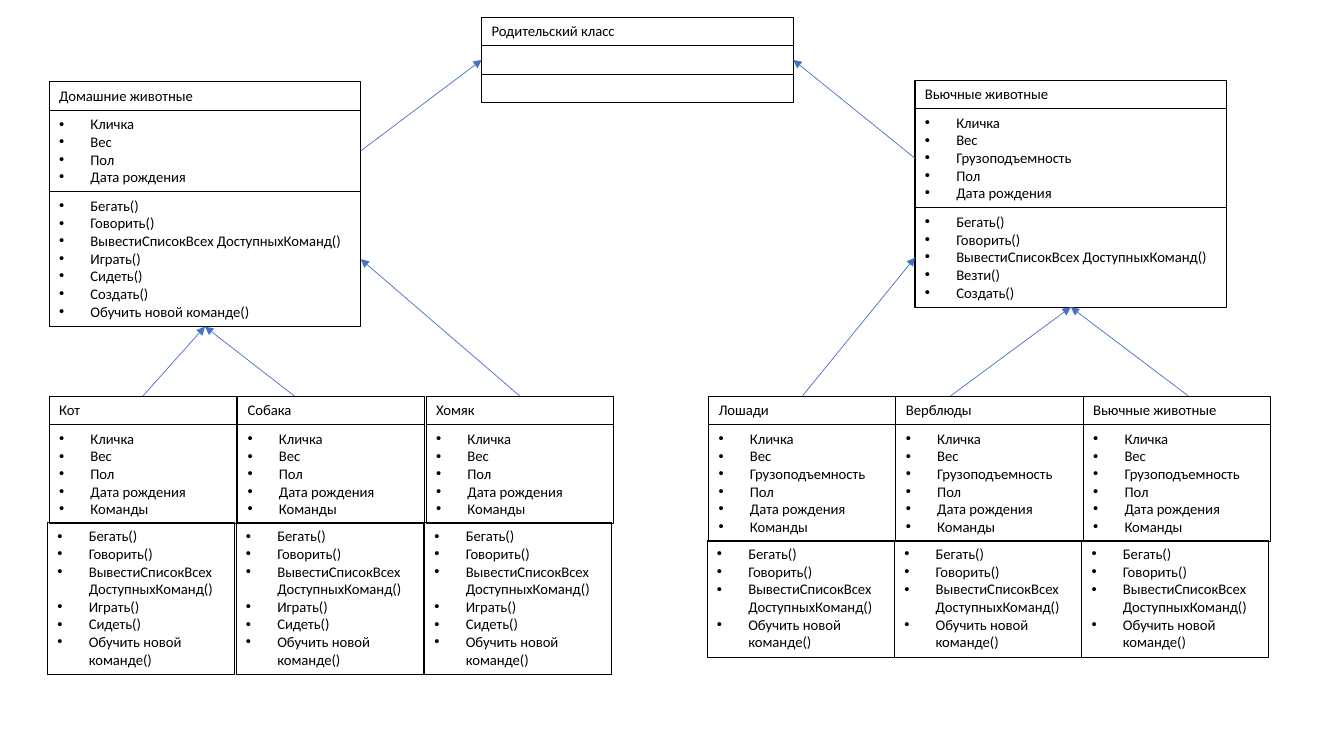
from lxml import etree
from pptx import Presentation
from pptx import util as u
from pptx.dml.color import RGBColor
from pptx.enum import shapes, text
from pptx.oxml import ns

BLACK = RGBColor(0x00, 0x00, 0x00)
BLUE = RGBColor(0x44, 0x72, 0xC4)
TOP, LEFT, BOTTOM, RIGHT = range(4)  # connection sites of a rectangle

WIDE, NARROW = 7.85, 4.72
HEADING_HEIGHT = 0.72
LINE_HEIGHT, PADDING = 0.45, 0.25
NARROW_CHARACTERS = 20
CHILD_TOP = 9.98
METHODS_SHIFT = 0.04

ATTRIBUTES = ["Кличка", "Вес", "Пол", "Дата рождения"]
PACK_ATTRIBUTES = ["Кличка", "Вес", "Грузоподъемность", "Пол", "Дата рождения"]
METHODS = ["Бегать()", "Говорить()", "ВывестиСписокВсех ДоступныхКоманд()"]
PET_METHODS = METHODS + ["Играть()", "Сидеть()"]
TEACH, CREATE = "Обучить новой команде()", "Cоздать()"


def add_child(parent, tag, **attributes):
    return etree.SubElement(parent, ns.qn(tag), attributes)


def write(para, words, bullet=False, font="Calibri", size=10.5, color=BLACK):
    """Fill a paragraph with formatted words, optionally as a bullet item."""
    para.alignment = text.PP_ALIGN.LEFT
    if bullet:
        properties = para._p.get_or_add_pPr()
        indent = u.Cm(0.79)
        properties.set("marL", str(indent))
        properties.set("indent", str(-indent))
        add_child(properties, "a:buFont", typeface="Arial")
        add_child(properties, "a:buChar", char="•")
    span = para.add_run()
    span.text = words
    span.font.name = font
    span.font.size = u.Pt(size)
    span.font.color.rgb = color


class Diagram:
    def __init__(self, page):
        self.page = page
        self.outline = u.Pt(0.75)
        self.arrow_width = u.Pt(0.5)

    def box(self, left, top, width, height, lines=(), bullet=False):
        box = self.page.shapes.add_shape(
            shapes.MSO_SHAPE.RECTANGLE,
            u.Cm(left), u.Cm(top), u.Cm(width), u.Cm(height))
        box.shadow.inherit = False
        box.fill.background()
        box.line.color.rgb = BLACK
        box.line.width = self.outline
        frame = box.text_frame
        frame.word_wrap = True
        frame.vertical_anchor = text.MSO_ANCHOR.TOP
        if lines:
            frame.auto_size = text.MSO_AUTO_SIZE.SHAPE_TO_FIT_TEXT
        for number, words in enumerate(lines):
            para = frame.add_paragraph() if number else frame.paragraphs[0]
            write(para, words, bullet=bullet)
        return box

    def class_box(self, name, left, top, width, attributes=(), methods=(), shift=0):
        """Stack heading, attributes and methods; return the three boxes."""
        boxes = [self.box(left, top, width, HEADING_HEIGHT, [name])]
        top += HEADING_HEIGHT
        for items, offset in ((attributes, 0), (methods, shift)):
            rows = len(items)
            if width == NARROW:
                rows += sum(len(item) > NARROW_CHARACTERS for item in items)
            height = PADDING + LINE_HEIGHT * rows if items else HEADING_HEIGHT
            boxes.append(self.box(left - offset, top - offset, width, height,
                                  items, bullet=True))
            top += height
        return boxes

    def arrow(self, source, source_site, target, target_site, start_x=None):
        """Join two boxes; start_x moves the tail along the source's top edge."""
        start = u.Cm(start_x or 0)
        line = self.page.shapes.add_connector(
            shapes.MSO_CONNECTOR.STRAIGHT, start, source.top, start, source.top)
        if start_x is None:
            line.begin_connect(source, source_site)
        line.end_connect(target, target_site)
        line.line.color.rgb = BLUE
        line.line.width = self.arrow_width
        add_child(line.line._get_or_add_ln(), "a:tailEnd", type="triangle")
        add_child(line._element.spPr, "a:effectLst")

    def children(self, left, step, family):
        """Draw a row of subclasses and return their heading boxes."""
        return [
            self.class_box(name, left + step * column, CHILD_TOP, NARROW,
                           attributes + ["Команды"], methods + [TEACH],
                           METHODS_SHIFT)[0]
            for column, (name, attributes, methods) in enumerate(family)]


def main():
    deck = Presentation()
    deck.slide_width, deck.slide_height = u.Cm(33.87), u.Cm(19.05)
    diagram = Diagram(deck.slides.add_slide(deck.slide_layouts[6]))

    parent = diagram.class_box("Родительский класс", 12.14, 0.43, WIDE)
    pets = diagram.class_box("Домашние животные", 1.24, 2.06, WIDE,
                             ATTRIBUTES, PET_METHODS + [CREATE, TEACH])
    pack = diagram.class_box("Вьючные животные", 23.06, 2.02, WIDE,
                             PACK_ATTRIBUTES, METHODS + ["Везти()", CREATE])
    cat, dog, hamster = diagram.children(1.24, 4.75, [
        ("Кот", ["Кличка", "Веc", "Пол", "Дата рождения"], PET_METHODS),
        ("Собака", ATTRIBUTES, PET_METHODS),
        ("Хомяк", ATTRIBUTES, PET_METHODS)])
    horse, camel, donkey = diagram.children(17.86, NARROW, [
        (name, PACK_ATTRIBUTES, METHODS)
        for name in ("Лошади", "Верблюды", "Вьючные животные")])

    for source, source_site, target, target_site, start_x in (
            (pets[1], RIGHT, parent[1], LEFT, None),
            (pack[1], LEFT, parent[1], RIGHT, None),
            (cat, TOP, pets[2], BOTTOM, None),
            (dog, TOP, pets[2], BOTTOM, 7.42),
            (hamster, TOP, pets[2], RIGHT, None),
            (horse, TOP, pack[2], LEFT, None),
            (camel, TOP, pack[2], BOTTOM, 23.95),
            (donkey, TOP, pack[2], BOTTOM, 29.95)):
        diagram.arrow(source, source_site, target, target_site, start_x)

    deck.save("out.pptx")


if __name__ == "__main__":
    main()
